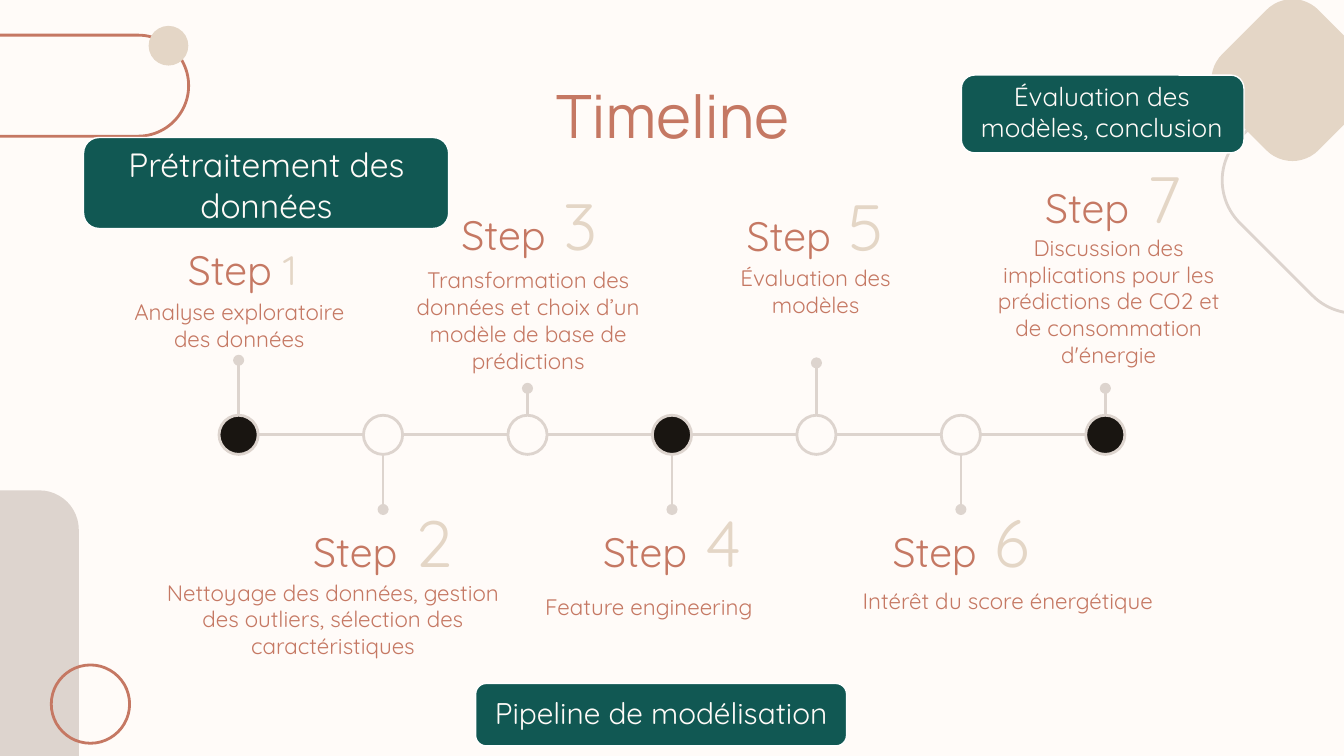
from lxml.etree import SubElement
from pptx import Presentation
from pptx.dml.color import RGBColor
from pptx.enum.shapes import MSO_CONNECTOR, MSO_SHAPE
from pptx.enum.text import MSO_ANCHOR, MSO_AUTO_SIZE, PP_ALIGN
from pptx.oxml.ns import qn
from pptx.util import Cm, Pt

CREAM = RGBColor(0xFF, 0xFB, 0xF8)
WHITE = RGBColor(0xFF, 0xFF, 0xFF)
GREY = RGBColor(0xDD, 0xD4, 0xCE)
SAND = RGBColor(0xE4, 0xD6, 0xC6)
RUST = RGBColor(0xC5, 0x78, 0x63)
GREEN = RGBColor(0x11, 0x58, 0x53)
BLACK = RGBColor(0x19, 0x15, 0x11)

DECOR = [
    (MSO_SHAPE.ROUNDED_RECTANGLE, (23.5, 1.3, 4.22, 4.22), dict(line=GREY, turn=45, adj=[0.27])),
    (MSO_SHAPE.ROUNDED_RECTANGLE, (23.14, 0.23, 2.57, 2.57), dict(fill=SAND, turn=45, adj=[0.27])),
    (MSO_SHAPE.ROUND_1_RECTANGLE, (0, 9.27, 1.49, 5.02), dict(fill=GREY, adj=[0.5])),
    (MSO_SHAPE.OVAL, (0.97, 12.57, 1.48, 1.48), dict(line=RUST)),
    (MSO_SHAPE.ROUND_2_SAME_RECTANGLE, (0.4, -0.59, 1.91, 4.42),
     dict(line=RUST, turn=90, adj=[0.5, 0])),
    (MSO_SHAPE.OVAL, (2.81, 0.49, 0.75, 0.75), dict(fill=SAND)),
]

BANNERS = [
    ("Pipeline de modélisation", 16, (8.99, 12.92, 7.01, 1.18), (6.93, 12.88, 11.13, 0.89), MSO_ANCHOR.TOP),
    ("Évaluation des modèles, conclusion", 14, (18.17, 1.42, 5.34, 1.47), (18.21, 1.27, 5.23, 1.68),
     MSO_ANCHOR.BOTTOM),
    ("Prétraitement des données", 18, (1.58, 2.6, 6.9, 1.72), (2.01, 2.9, 6.05, 1.6), MSO_ANCHOR.BOTTOM),
]

STEPS = [
    ("Analyse exploratoire des données", (3.3, 4.5), (2.01, 5.38, 5.03), 6.81),
    ("Nettoyage des données, gestion des outliers, sélection des caractéristiques",
     (4.72, 9.63), (2.84, 10.69, 6.91), 9.63),
    ("Transformation des données et choix d’un modèle de base de prédictions",
     (7.49, 3.63), (7.47, 4.78, 5.03), 7.34),
    ("Feature engineering", (10.19, 9.63), (9.75, 10.97, 5.03), 9.63),
    ("Évaluation des modèles", (12.9, 3.66), (12.9, 4.75, 5.03), 6.86),
    ("Intérêt du score énergétique", (15.65, 9.63), (15.57, 10.85, 6.96), 9.63),
    ("Discussion des implications pour les prédictions de CO2 et de consommation d'énergie",
     (18.52, 3.12), (18.44, 4.17, 5.03), 7.34),
]
START, GAP, AXIS, DOT = 4.51, 2.73, 8.22, 0.74

deck = Presentation()
deck.slide_width, deck.slide_height = Cm(25.4), Cm(14.29)
slide = deck.slides.add_slide(deck.slide_layouts[5])
slide.background.fill.solid()
slide.background.fill.fore_color.rgb = CREAM


def paint(kind, box, fill=None, line=None, width=1.5, turn=0, adj=()):
    shape = slide.shapes.add_shape(kind, *map(Cm, box))
    shape.shadow.inherit = False
    shape.rotation = turn
    for i, value in enumerate(adj):
        shape.adjustments[i] = value
    if fill is None:
        shape.fill.background()
    else:
        shape.fill.solid()
        shape.fill.fore_color.rgb = fill
    if line is None:
        shape.line.fill.background()
    else:
        shape.line.color.rgb = line
        shape.line.width = Pt(width)


def link(start, end, oval=False):
    wire = slide.shapes.add_connector(MSO_CONNECTOR.STRAIGHT, *map(Cm, start + end))
    wire.line.color.rgb = GREY
    wire.line.width = Pt(1.5)
    props = wire._element.spPr
    if oval:
        SubElement(props.find(qn("a:ln")), qn("a:tailEnd"), type="oval")
    SubElement(props, qn("a:effectLst"))


def write(text, box, size=12, color=RUST, font="Quicksand", align=PP_ALIGN.CENTER,
          anchor=MSO_ANCHOR.TOP, pad=0.25, extra=(), shape=None):
    if shape is None:
        shape = slide.shapes.add_textbox(*map(Cm, box))
    else:
        shape.left, shape.top, shape.width, shape.height = map(Cm, box)
    frame = shape.text_frame
    frame.word_wrap = True
    frame.auto_size = MSO_AUTO_SIZE.NONE
    frame.vertical_anchor = anchor
    frame.margin_left = frame.margin_right = Cm(0.25)
    frame.margin_top = frame.margin_bottom = Cm(pad)
    para = frame.paragraphs[0]
    para.alignment = align
    for words, points, tint in [(text, size, color), *extra]:
        run = para.add_run()
        run.text = words
        run.font.name = font
        run.font.size = Pt(points)
        run.font.color.rgb = tint


for kind, box, look in DECOR:
    paint(kind, box, **look)

write("Timeline", (2.01, 1.24, 21.41, 1.6), size=32, font="Manrope", shape=slide.shapes.title)

for text, size, panel, box, anchor in BANNERS:
    paint(MSO_SHAPE.ROUNDED_RECTANGLE, panel, fill=GREEN, line=WHITE, width=0.75, adj=[0.17])
    write(text, box, size=size, color=CREAM, anchor=anchor)

for i, (text, head, body, tip) in enumerate(STEPS):
    mid = START + i * GAP
    paint(MSO_SHAPE.OVAL, (mid - DOT / 2, AXIS - DOT / 2, DOT, DOT),
          fill=BLACK if i % 3 == 0 else None, line=GREY)
    edge = AXIS + (DOT if tip > AXIS else -DOT) / 2
    link((mid, edge), (mid, tip), oval=True)
    if i:
        link((mid - GAP + DOT / 2, AXIS), (mid - DOT / 2, AXIS))
    label = f" {i + 1}"
    if i:
        write("Step", head + (5.03, 1.6), size=22, anchor=MSO_ANCHOR.BOTTOM,
              extra=[(label, 35, SAND)])
    else:
        write("Step", head + (3.81, 1.19), size=22, align=PP_ALIGN.LEFT, pad=0.13,
              extra=[(label, 22, SAND)])
    write(text, body + (2.64 if i == 6 else 0.89,))

deck.save("out.pptx")
